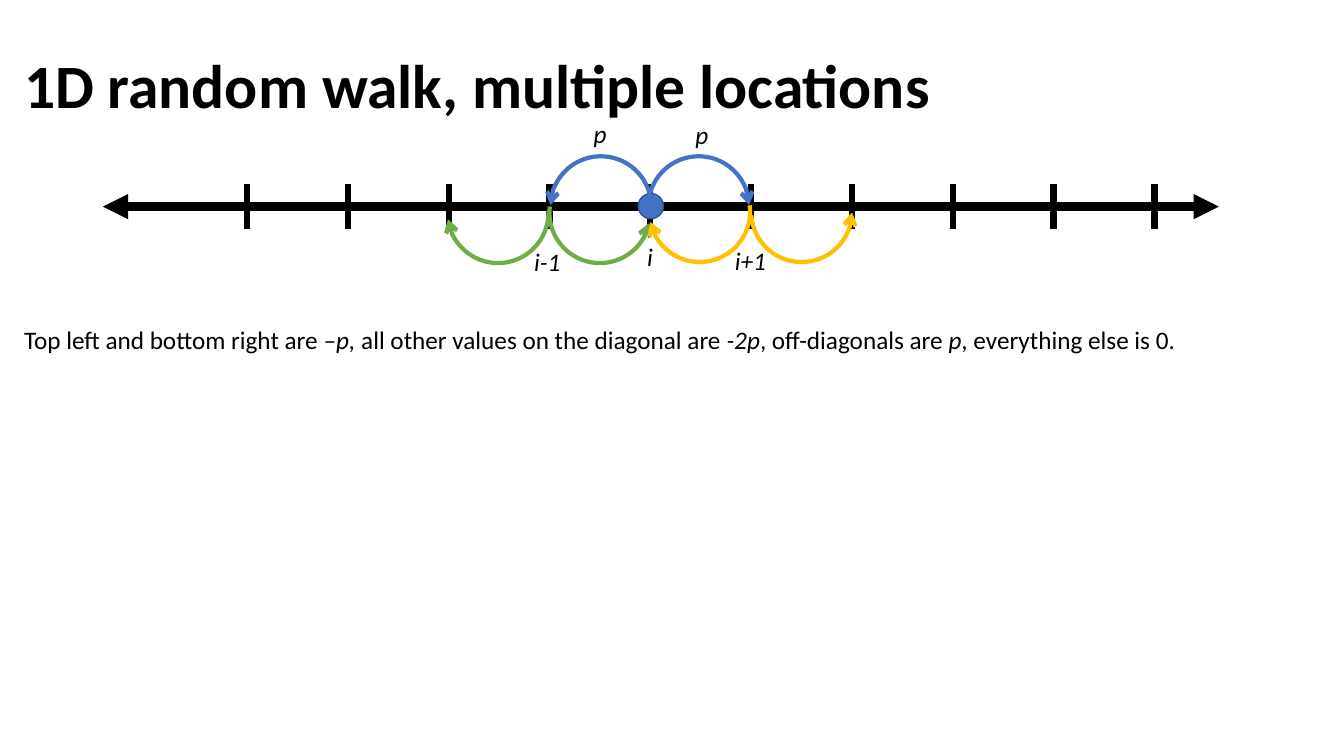
from lxml import etree
from pptx import Presentation
from pptx import util as u
from pptx.dml.color import RGBColor
from pptx.enum import shapes, text
from pptx.oxml.ns import qn

PX = 9144  # 100 px to the inch
COLORS = {"ink": "000000", "blue": "4472C4", "rim": "325491",
          "green": "70AD47", "gold": "FFC000"}
FONT = "Calibri"
STEP = 100  # distance between neighbouring locations


def px(value):
    return u.Emu(value * PX)


def rgb(name):
    return RGBColor.from_string(COLORS[name])


def style_line(shape, color, width, *ends):
    shape.line.color.rgb = rgb(color)
    shape.line.width = u.Pt(width)
    for tag, kind in ends:
        etree.SubElement(shape.line._get_or_add_ln(), qn(tag), type=kind)


def add_text(page, box, spans, size, bold=False, wrap=False):
    """Place one paragraph; spans are (words, italic) pairs."""
    shape = page.shapes.add_textbox(*map(px, box))
    frame = shape.text_frame
    frame.word_wrap = wrap
    if not wrap:
        frame.auto_size = text.MSO_AUTO_SIZE.SHAPE_TO_FIT_TEXT
    para = frame.paragraphs[0]
    for words, italic in spans:
        span = para.add_run()
        span.text = words
        span.font.name = FONT
        span.font.size = u.Pt(size)
        span.font.bold = bold
        span.font.italic = italic
        span.font.color.rgb = rgb("ink")
    return shape


def add_title(page, box):
    frame = add_text(page, box, [("1D random walk, multiple locations", False)],
                     44, bold=True, wrap=True).text_frame
    frame.vertical_anchor = text.MSO_ANCHOR.MIDDLE
    frame.paragraphs[0].line_spacing = 0.9


def add_line(page, start, end, width, *ends):
    line = page.shapes.add_connector(shapes.MSO_CONNECTOR.STRAIGHT,
                                     *map(px, start + end))
    style_line(line, "ink", width, *ends)
    etree.SubElement(line._element.spPr, qn("a:effectLst"))


def add_hop(page, left, top, turn, flips, color):
    """Draw a half-circle arrow from one location to the next."""
    arc = page.shapes.add_shape(shapes.MSO_SHAPE.ARC, px(left), px(top),
                                px(STEP), px(STEP))
    arc.adjustments[0], arc.adjustments[1] = 162, 51.094
    arc.rotation = turn
    for flip in flips:
        arc._element.spPr.xfrm.set("flip" + flip, "1")
    arc.shadow.inherit = False
    arc.fill.background()
    style_line(arc, color, 3, ("a:tailEnd", "arrow"))


def add_number_line(page, box):
    left, top, width, height = box
    axis = top + height // 2
    middle = left + 543  # location i

    # Axis and ticks
    add_line(page, (left, axis), (left + width, axis), 6,
             ("a:headEnd", "triangle"), ("a:tailEnd", "triangle"))
    for place in range(-4, 6):
        x = middle + place * STEP
        add_line(page, (x, top), (x, top + height), 4.5)

    # Walker
    walker = page.shapes.add_shape(shapes.MSO_SHAPE.OVAL, px(middle - 12),
                                   px(axis - 13), px(25), px(25))
    walker.shadow.inherit = False
    walker.fill.solid()
    walker.fill.fore_color.rgb = rgb("blue")
    style_line(walker, "rim", 1)

    # Hops, placed from location i on the axis
    for dx, dy, turn, flips, color in (
            (-2, -50, 273.1, "", "blue"),
            (-99, -50, 86.9, "H", "blue"),
            (-100, -44, 97.1, "V", "green"),
            (-1, -45, 262.9, "HV", "gold"),
            (-201, -44, 267.3, "HV", "green"),
            (100, -45, 86.1, "V", "gold")):
        add_hop(page, middle + dx, axis + dy, turn, flips, color)

    # Labels
    for words, dx, dy, label_width in (
            ("p", 35, -92, 34), ("p", -66, -93, 33), ("i", -13, 29, 26),
            ("i+1", 74, 33, 51), ("i-1", -125, 34, 46)):
        add_text(page, (middle + dx, axis + dy, label_width, 40),
                 [(words, True)], 18)


def add_note(page, box):
    add_text(page, box, [
        ("Top left and bottom right are ", False), ("–p, ", True),
        ("all other values on the diagonal are", False), (" -2p", True),
        (", off-diagonals are ", False), ("p", True),
        (", everything else is 0.", False)], 18)


def main():
    deck = Presentation()
    deck.slide_width, deck.slide_height = u.Inches(13.33), u.Inches(7.5)
    page = deck.slides.add_slide(deck.slide_layouts[6])
    add_title(page, (14, 15, 1150, 145))
    add_number_line(page, (102, 183, 1107, 44))
    add_note(page, (14, 317, 1171, 40))
    deck.save("out.pptx")


if __name__ == "__main__":
    main()
